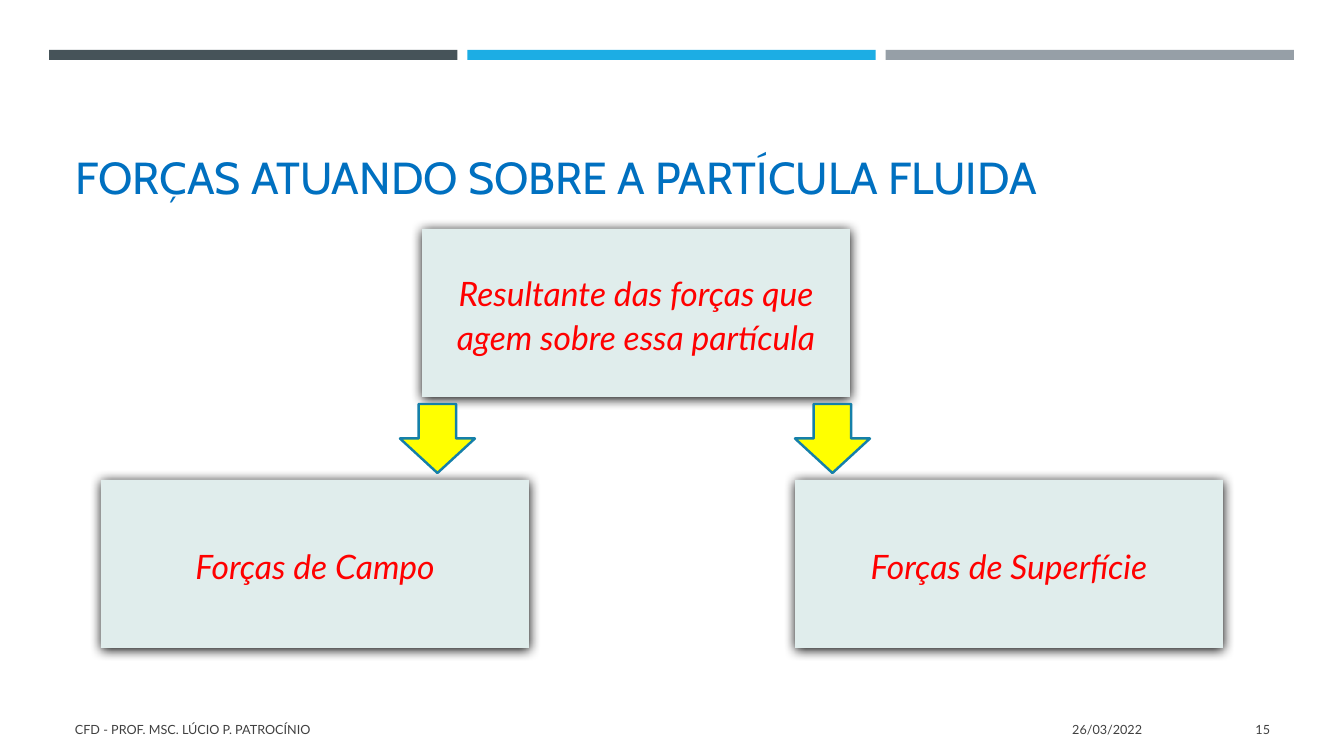
import pptx
import pptx.util
import pptx.dml.color
import pptx.enum.shapes
import pptx.enum.text
import pptx.oxml
import pptx.oxml.ns

PX = 12700 * 72 / 100.8
SHAPE = pptx.enum.shapes.MSO_SHAPE
ALIGN = pptx.enum.text.PP_ALIGN
ANCHOR = pptx.enum.text.MSO_ANCHOR


class Theme:
    """Colours, fonts and type sizes of the slide."""
    bars = ("465359", "1CADE4", "969FA7")
    title, label, foot = "0070C0", "FF0000", "404040"
    card, arrow, edge = "E0EDEC", "FFFF00", "1580A9"
    head_font, body_font = "Cabin", "Lato"
    title_size, label_size, foot_size = 32, 24, 9


def emu(*px):
    """Turn lengths in px into EMU."""
    return [pptx.util.Emu(round(n * PX)) for n in px]


def rgb(code):
    """Give the colour for a hex code."""
    return pptx.dml.color.RGBColor.from_string(code)


def write(shape, text, font, size, color, align, anchor, italic=False):
    """Set the text of a shape, format it and return its paragraph."""
    frame = shape.text_frame
    frame.text = text
    frame.word_wrap = True
    frame.auto_size = pptx.enum.text.MSO_AUTO_SIZE.NONE
    frame.vertical_anchor = anchor
    para = frame.paragraphs[0]
    para.alignment = align
    face = para.runs[0].font
    face.name, face.size, face.italic = font, pptx.util.Pt(size), italic
    face.color.rgb = rgb(color)
    return para


def block(slide, kind, box, fill, edge=None):
    """Draw a filled preset shape without shadow."""
    shape = slide.shapes.add_shape(kind, *emu(*box))
    shape.shadow.inherit = False
    shape.fill.solid()
    shape.fill.fore_color.rgb = rgb(fill)
    if edge:
        shape.line.color.rgb = rgb(edge)
        shape.line.width = pptx.util.Pt(1.75)
    else:
        shape.line.fill.background()
    return shape


def shade(shape):
    """Give a shape a soft black shadow just below it."""
    glow = shape.element.spPr.find(pptx.oxml.ns.qn("a:effectLst"))
    glow.append(pptx.oxml.parse_xml(
        f'<a:outerShdw {pptx.oxml.ns.nsdecls("a")} blurRad="107950" dist="12700" '
        'dir="5400000" algn="t" rotWithShape="0"><a:srgbClr val="000000"/></a:outerShdw>'))


def band(slide, box, gap=10):
    """Fill the box with equal bars, one for each theme colour."""
    left, top, width, height = box
    count = len(Theme.bars)
    step = (width + gap) / count
    for i, color in enumerate(Theme.bars):
        block(slide, SHAPE.RECTANGLE, (left + i * step, top, step - gap, height), color)


def head(slide, box, text):
    """Place the title in its box."""
    title = slide.shapes.title
    title.left, title.top, title.width, title.height = emu(*box)
    write(title, text, Theme.head_font, Theme.title_size, Theme.title,
          ALIGN.LEFT, ANCHOR.BOTTOM)


def card(slide, box, text):
    """Draw a shaded card with a centred label."""
    shape = block(slide, SHAPE.RECTANGLE, box, Theme.card)
    shade(shape)
    para = write(shape, text, Theme.body_font, Theme.label_size, Theme.label,
                 ALIGN.CENTER, ANCHOR.MIDDLE, True)
    para.line_spacing = 1.1
    para.space_before, para.space_after = pptx.util.Pt(5), pptx.util.Pt(6)


def tree(slide, box, root, leaves):
    """Draw the root card, with arrows down to its two leaf cards."""
    left, top, width, height = box
    wide, high = 428, 168
    low = top + height - high
    right = left + width - wide
    card(slide, (left + 321, top, wide, high), root)
    for x, text in zip((left, right), leaves):
        card(slide, (x, low, wide, high), text)
    for x in (left + 299, right):
        block(slide, SHAPE.DOWN_ARROW, (x, top + 175, 75, 69), Theme.arrow, Theme.edge)


def foot(slide, box, name, date, page):
    """Write the name, date and page number along the box."""
    left, top, width, height = box
    parts = ((0, 762, name, ALIGN.LEFT), (774, 313, date, ALIGN.RIGHT),
             (width - 116, 116, page, ALIGN.RIGHT))
    for x, wide, text, align in parts:
        shape = slide.shapes.add_textbox(*emu(left + x, top, wide, height))
        write(shape, text, Theme.body_font, Theme.foot_size, Theme.foot,
              align, ANCHOR.MIDDLE)


def main():
    """Build the slide and save it."""
    deck = pptx.Presentation()
    deck.slide_width, deck.slide_height = emu(1344, 756)
    slide = deck.slides.add_slide(deck.slide_layouts[5])
    band(slide, (49, 50, 1245, 10))
    head(slide, (65, 78, 1216, 131), "FORÇAS ATUANDO SOBRE A PARTÍCULA FLUIDA")
    tree(slide, (101, 229, 1122, 419),
         "Resultante das forças que agem sobre essa partícula",
         ("Forças de Campo", "Forças de Superfície"))
    foot(slide, (65, 709, 1215, 40),
         "CFD - PROF. MSC. LÚCIO P. PATROCÍNIO", "26/03/2022", "15")
    deck.save("out.pptx")


if __name__ == "__main__":
    main()
